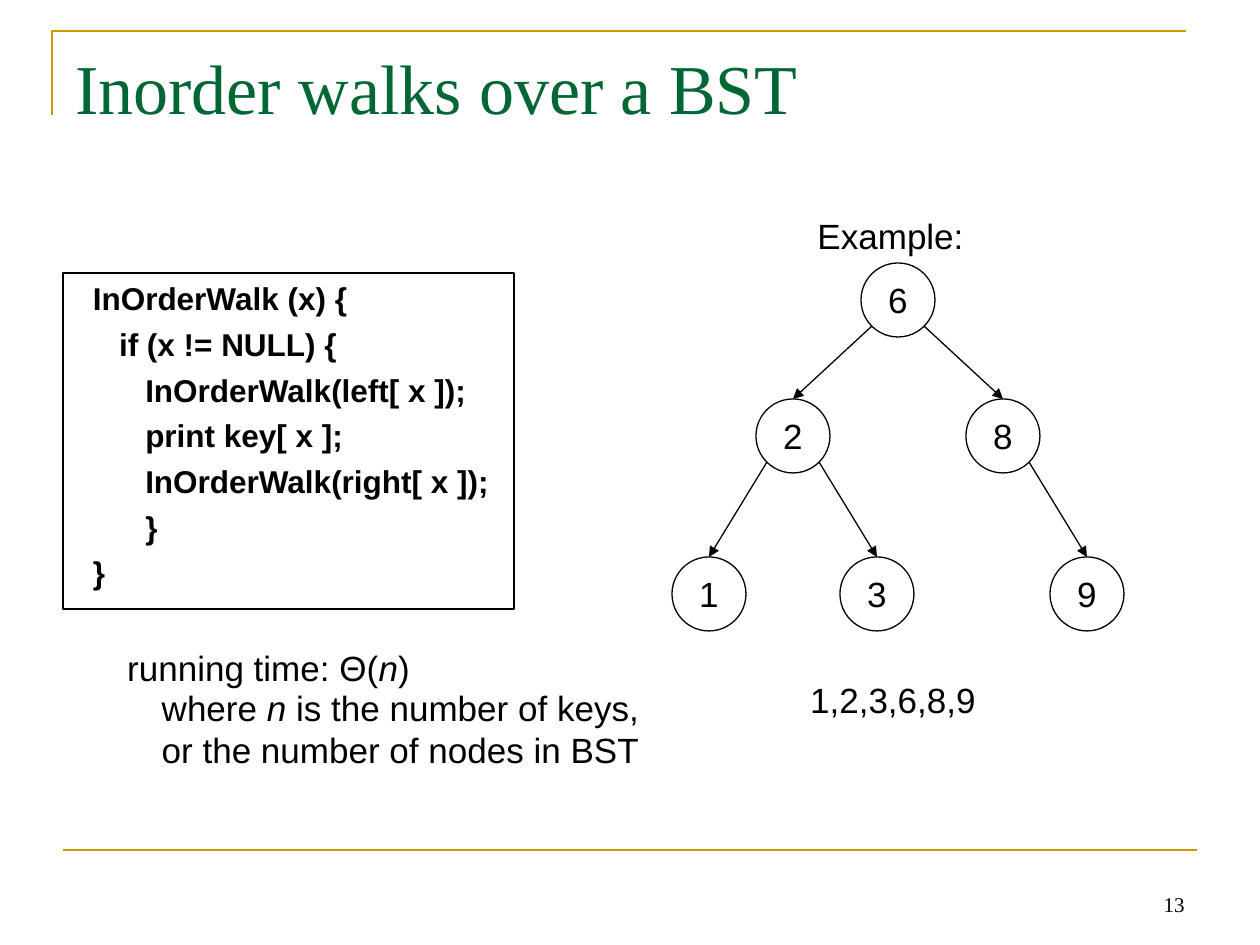
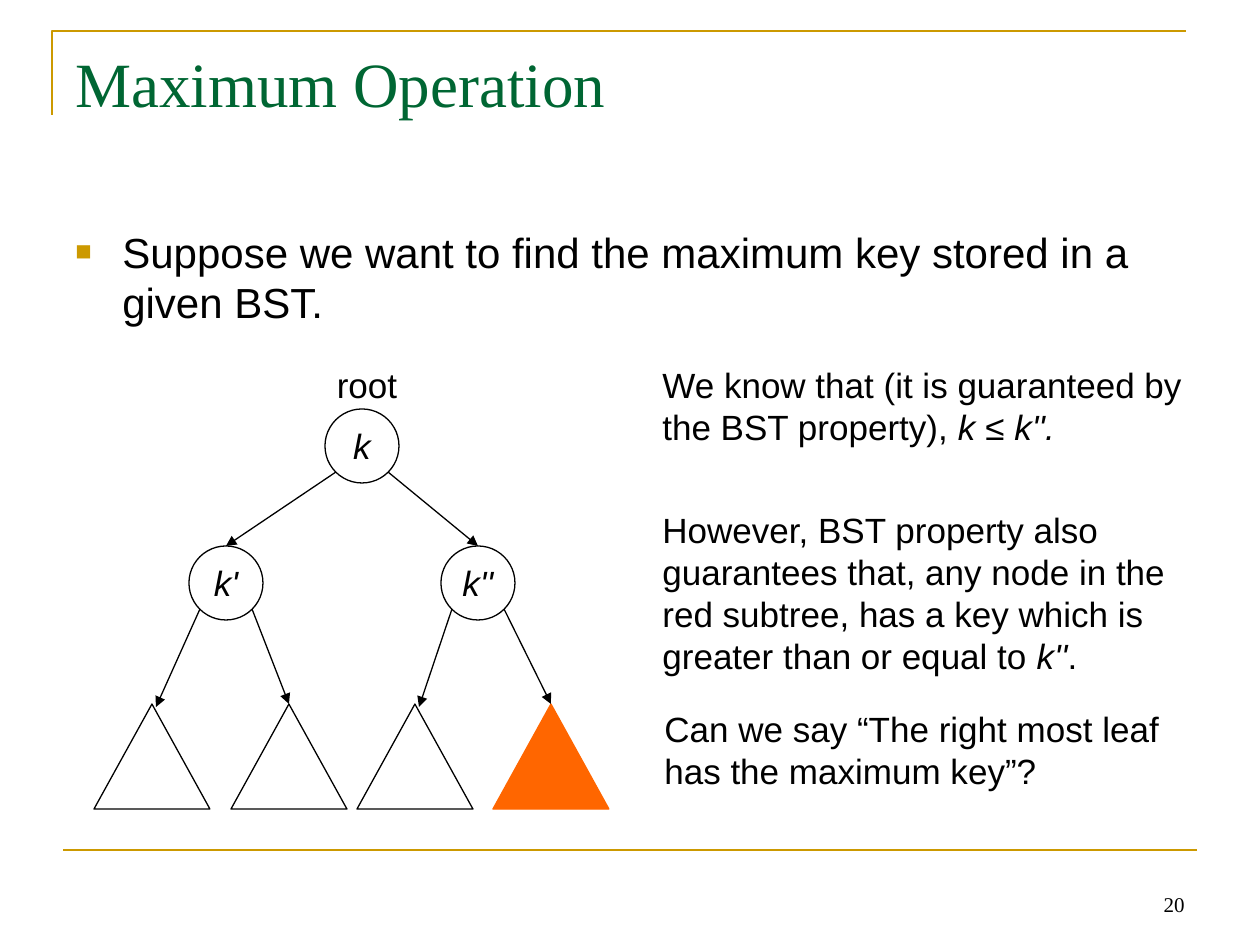
from lxml import etree
from pptx import Presentation
from pptx import util as u
from pptx.dml.color import RGBColor
from pptx.enum import shapes, text as tx
from pptx.oxml.ns import qn

GOLD, GREEN, BLACK, ORANGE = "CC9900", "006633", "000000", "FF6600"
SERIF, SANS = "Times New Roman", "Arial"
NODE, REACH = 74, 26
TRI_W, TRI_H = 116, 105

WALK = {
    "title": "Inorder walks over a BST", "size": 40, "page": "13",
    "nodes": {"6": (898, 300), "2": (793, 436), "8": (1003, 436),
              "1": (709, 594), "3": (877, 594), "9": (1087, 594)},
    "edges": ["62", "68", "21", "23", "89"],
    "notes": [
        ((805, 208, 181, 55), ["Example:"], "left"),
        ((788, 672, 210, 55), ["1,2,3,6,8,9"], "center"),
        ((105, 640, 327, 55), ["running time: Θ(*n*)"], "center"),
        ((139, 680, 523, 97), ["where *n* is the number of keys,",
                               "or the number of nodes in BST"], "center"),
    ],
}
CODE = [
    "  InOrderWalk (x) {",
    "     if (x != NULL) {",
    "        InOrderWalk(left[ x ]);",
    "        print key[ x ];",
    "        InOrderWalk(right[ x ]);",
    "        }",
    "  }",
]
MAX = {
    "title": "Maximum Operation", "size": 36, "page": "20",
    "nodes": {"*k*": (362, 446), "*k'*": (226, 583), "*k''*": (478, 583)},
    "edges": [("*k*", "*k'*"), ("*k*", "*k''*")],
    "notes": [
        ((314, 357, 106, 55), ["root"], "center"),
        ((650, 357, 566, 97), ["We know that (it is guaranteed by",
                               "the BST property), *k *≤ *k''.*"], "left"),
        ((650, 502, 548, 181), ["However, BST property also",
                                "guarantees that, any node in the",
                                "red subtree, has a key which is",
                                "greater than or equal to *k''*."], "left"),
        ((652, 701, 540, 97), ["Can we say “The right most leaf",
                               "has the maximum key”?"], "left"),
    ],
}
POINT = ["Suppose we want to find the maximum key stored in a given BST."]
TREES = [("*k'*", -1, 152, BLACK, None), ("*k'*", 1, 289, BLACK, None),
         ("*k''*", -1, 415, BLACK, None), ("*k''*", 1, 551, ORANGE, ORANGE)]
TREE_TOP = 704

ALIGN = {"left": tx.PP_ALIGN.LEFT, "center": tx.PP_ALIGN.CENTER,
         "right": tx.PP_ALIGN.RIGHT}
ANCHOR = {"top": tx.MSO_ANCHOR.TOP, "middle": tx.MSO_ANCHOR.MIDDLE,
          "bottom": tx.MSO_ANCHOR.BOTTOM}


def px(n):
    return u.Emu(round(n * 914400 / 126))


def rgb(code):
    return RGBColor.from_string(code)


def paint(shape, line=BLACK, fill=None, width=0.75):
    shape.shadow.inherit = False
    if fill:
        shape.fill.solid()
        shape.fill.fore_color.rgb = rgb(fill)
    else:
        shape.fill.background()
    shape.line.color.rgb = rgb(line)
    shape.line.width = u.Pt(width)


def bullet(para):
    props = para._p.get_or_add_pPr()
    props.set("marL", str(px(47)))
    props.set("indent", str(px(-47)))
    color = etree.SubElement(props, qn("a:buClr"))
    etree.SubElement(color, qn("a:srgbClr"), val=GOLD)
    etree.SubElement(props, qn("a:buSzPct"), val="65000")
    etree.SubElement(props, qn("a:buFont"), typeface=SANS)
    etree.SubElement(props, qn("a:buChar"), char="■")


def write(shape, lines, size=20, font=SANS, color=BLACK, bold=False,
          align="left", anchor="top", wrap=True, gap=0, inset=(12.6, 6.3),
          dot=False):
    frame = shape.text_frame
    frame.word_wrap = wrap
    frame.vertical_anchor = ANCHOR[anchor]
    frame.margin_left = frame.margin_right = px(inset[0])
    frame.margin_top = frame.margin_bottom = px(inset[1])
    for i, line in enumerate(lines):
        para = frame.add_paragraph() if i else frame.paragraphs[0]
        if dot:
            bullet(para)
        para.alignment = ALIGN[align]
        if i and gap:
            para.space_before = u.Pt(gap)
        for j, part in enumerate(line.split("*")):
            if part:
                run = para.add_run()
                run.text = part
                run.font.name = font
                run.font.size = u.Pt(size)
                run.font.bold = bold
                run.font.italic = j % 2 == 1
                run.font.color.rgb = rgb(color)


def label(slide, box, lines, **form):
    write(slide.shapes.add_textbox(*map(px, box)), lines, **form)


def block(slide, kind, box):
    shape = slide.shapes.add_shape(kind, *map(px, box))
    paint(shape)
    return shape


def trace(slide, points, close, **form):
    spots = [(px(x), px(y)) for x, y in points]
    pen = slide.shapes.build_freeform(*spots[0])
    pen.add_line_segments(spots[1:], close=close)
    paint(pen.convert_to_shape(), **form)


def link(slide, start, end, color=BLACK, width=0.75, arrow=True):
    line = slide.shapes.add_connector(
        shapes.MSO_CONNECTOR.STRAIGHT, *map(px, start + end))
    line.line.color.rgb = rgb(color)
    line.line.width = u.Pt(width)
    if arrow:
        etree.SubElement(line.line._get_or_add_ln(), qn("a:tailEnd"),
                         type="triangle")
    etree.SubElement(line._element.spPr, qn("a:effectLst"))


def branch(slide, spot, side, end):
    link(slide, (spot[0] + side * REACH, spot[1] + REACH), end)


def page(deck, data):
    slide = deck.slides.add_slide(deck.slide_layouts[6])
    trace(slide, [(52, 115), (52, 31), (1186, 31)], False, line=GOLD, width=1.5)
    link(slide, (63, 850), (1197, 850), color=GOLD, width=1.5, arrow=False)
    label(slide, (903, 860, 294, 63), [data["page"]], size=12, font=SERIF,
          align="right", anchor="bottom")
    label(slide, (63, 38, 1134, 157), [data["title"]], size=data["size"],
          font=SERIF, color=GREEN)
    nodes = data["nodes"]
    for name, (x, y) in nodes.items():
        box = (x - NODE / 2, y - NODE / 2, NODE, NODE)
        write(block(slide, shapes.MSO_SHAPE.OVAL, box), [name], wrap=False,
              align="center", anchor="middle", inset=(0, 0))
    for top, low in data["edges"]:
        x, y = nodes[low]
        side = 1 if x > nodes[top][0] else -1
        branch(slide, nodes[top], side, (x, y - NODE / 2))
    for box, lines, align in data["notes"]:
        label(slide, box, lines, align=align)
    return slide


def main():
    deck = Presentation()
    deck.slide_width, deck.slide_height = px(1260), px(945)

    walk = page(deck, WALK)
    code = block(walk, shapes.MSO_SHAPE.RECTANGLE, (63, 273, 451, 336))
    write(code, CODE, size=18, bold=True, gap=4.5, wrap=False)

    peak = page(deck, MAX)
    label(peak, (63, 220, 1134, 624), POINT, size=24, dot=True)
    for name, side, x, line, fill in TREES:
        base = TREE_TOP + TRI_H
        trace(peak, [(x, TREE_TOP), (x - TRI_W / 2, base),
                     (x + TRI_W / 2, base)], True, line=line, fill=fill)
        end = (x, TREE_TOP) if side > 0 else (x + 4, TREE_TOP + 3)
        branch(peak, MAX["nodes"][name], side, end)

    deck.save("out.pptx")


if __name__ == "__main__":
    main()
